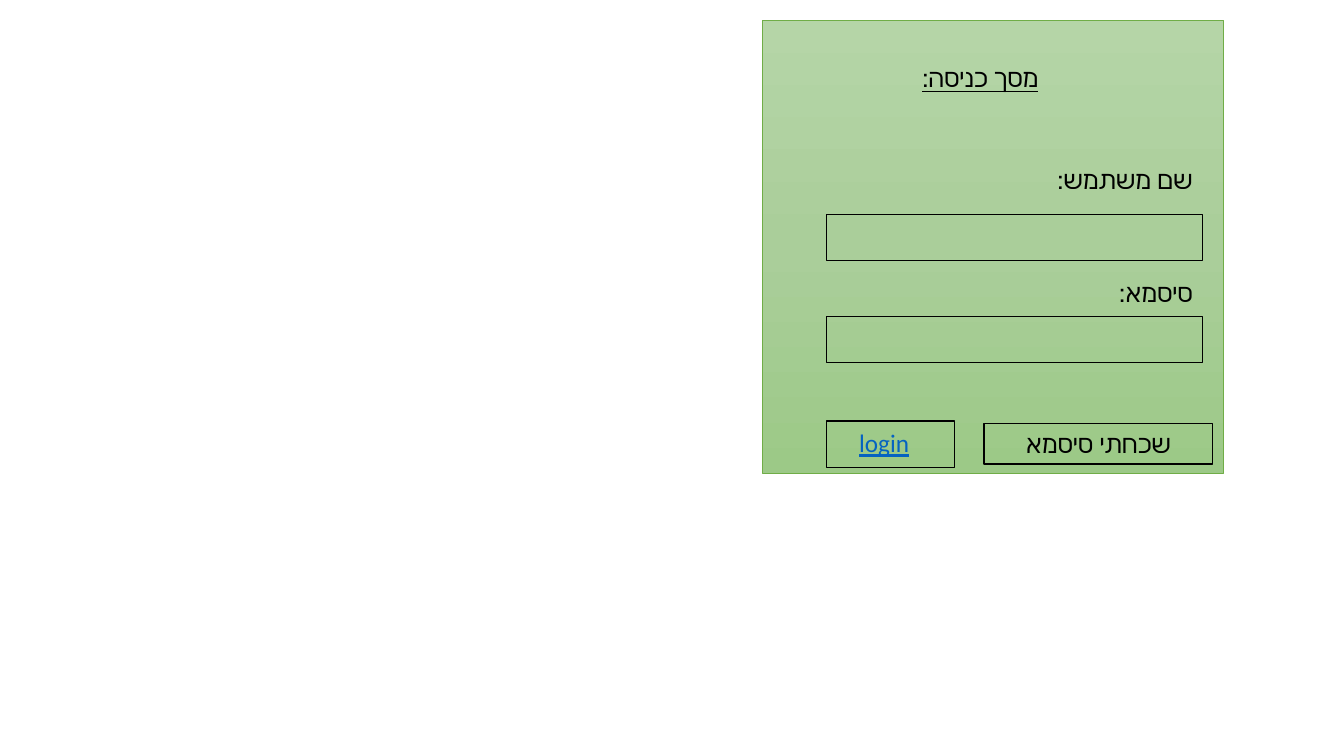
"""Build a slide with a Hebrew login screen mock-up."""
from copy import deepcopy

from pptx import Presentation
from pptx.dml.color import RGBColor
from pptx.enum.lang import MSO_LANGUAGE_ID
from pptx.enum.shapes import MSO_SHAPE
from pptx.enum.text import MSO_ANCHOR, MSO_AUTO_SIZE, PP_ALIGN
from pptx.oxml.ns import qn
from pptx.util import Pt

RECT = MSO_SHAPE.RECTANGLE
RIGHT, CENTER = PP_ALIGN.RIGHT, PP_ALIGN.CENTER
GROW = MSO_AUTO_SIZE.SHAPE_TO_FIT_TEXT
TOP = MSO_ANCHOR.TOP
HEBREW = MSO_LANGUAGE_ID.HEBREW

THEME = {
    "font": "Calibri",
    "size": 18,
    "ink": "000000",
    "link": "0563C1",
    "panel_line": "70AD47",
    "panel_stops": [(0, "B5D5A7"), (0.5, "AACE9A"), (1, "9CC987")],
}

PANEL = (544.2, 14.4, 329.8, 323.4)
FIELD_LEFT, FIELD_WIDTH, BOX_HEIGHT, TEXT_HEIGHT = 590.4, 268.6, 33.1, 29.08
LABEL_WIDTH = 136
LABEL_LEFT = FIELD_LEFT + FIELD_WIDTH - LABEL_WIDTH
FIELDS = [("שם משתמש:", 113.8, 153.1), ("סיסמא:", 194.4, 226)]
TITLE = ("מסך כניסה:", 369.4, 41, 379.4)
LOGIN = ("login", 550.1, 301.9, 106.4)
LOGIN_BOX = (FIELD_LEFT, 300.7, 91.5, BOX_HEIGHT)
FORGOT = ("שכחתי סיסמא", 702.9, 302.4, 163.4)


def rgb(value):
    return RGBColor.from_string(value)


def add_box(s, box, line=THEME["ink"], weight=1):
    sp = s.shapes.add_shape(RECT, *map(Pt, box))
    sp.shadow.inherit = False
    sp.fill.background()
    sp.line.color.rgb = rgb(line)
    sp.line.width = Pt(weight)
    return sp


def add_panel(s):
    sp = add_box(s, PANEL, THEME["panel_line"], 0.5)
    sp.fill.gradient()
    sp.fill.gradient_angle = 270
    stops = sp._element.spPr.find(qn("a:gradFill")).find(qn("a:gsLst"))
    stops.insert(1, deepcopy(stops[0]))
    for stop, (position, color) in zip(sp.fill.gradient_stops, THEME["panel_stops"]):
        stop.position = position
        stop.color.rgb = rgb(color)


def write(sp, text, align=RIGHT, color=THEME["ink"], underline=None):
    tf = sp.text_frame
    tf.text = text
    tf.word_wrap = True
    tf.auto_size = GROW
    tf.vertical_anchor = TOP
    p = tf.paragraphs[0]
    p.alignment = align
    p._p.get_or_add_pPr().set("rtl", "1")
    r = p.runs[0]
    r.font.name = THEME["font"]
    r.font.size = Pt(THEME["size"])
    r.font.color.rgb = rgb(color)
    r.font.underline = underline
    if not text.isascii():
        r.font.language_id = HEBREW


def add_label(s, text, left, top, width, **style):
    box = (left, top, width, TEXT_HEIGHT)
    write(s.shapes.add_textbox(*map(Pt, box)), text, **style)


def main():
    prs = Presentation()
    prs.slide_width, prs.slide_height = Pt(960), Pt(540)
    s = prs.slides.add_slide(prs.slide_layouts[6])
    add_panel(s)
    add_label(s, *TITLE, underline=True)
    for text, label_top, field_top in FIELDS:
        add_label(s, text, LABEL_LEFT, label_top, LABEL_WIDTH)
        add_box(s, (FIELD_LEFT, field_top, FIELD_WIDTH, BOX_HEIGHT))
    add_box(s, LOGIN_BOX)
    add_label(s, *LOGIN, color=THEME["link"], underline=True)
    text, left, top, width = FORGOT
    write(add_box(s, (left, top, width, TEXT_HEIGHT)), text, align=CENTER)
    prs.save("out.pptx")


if __name__ == "__main__":
    main()
